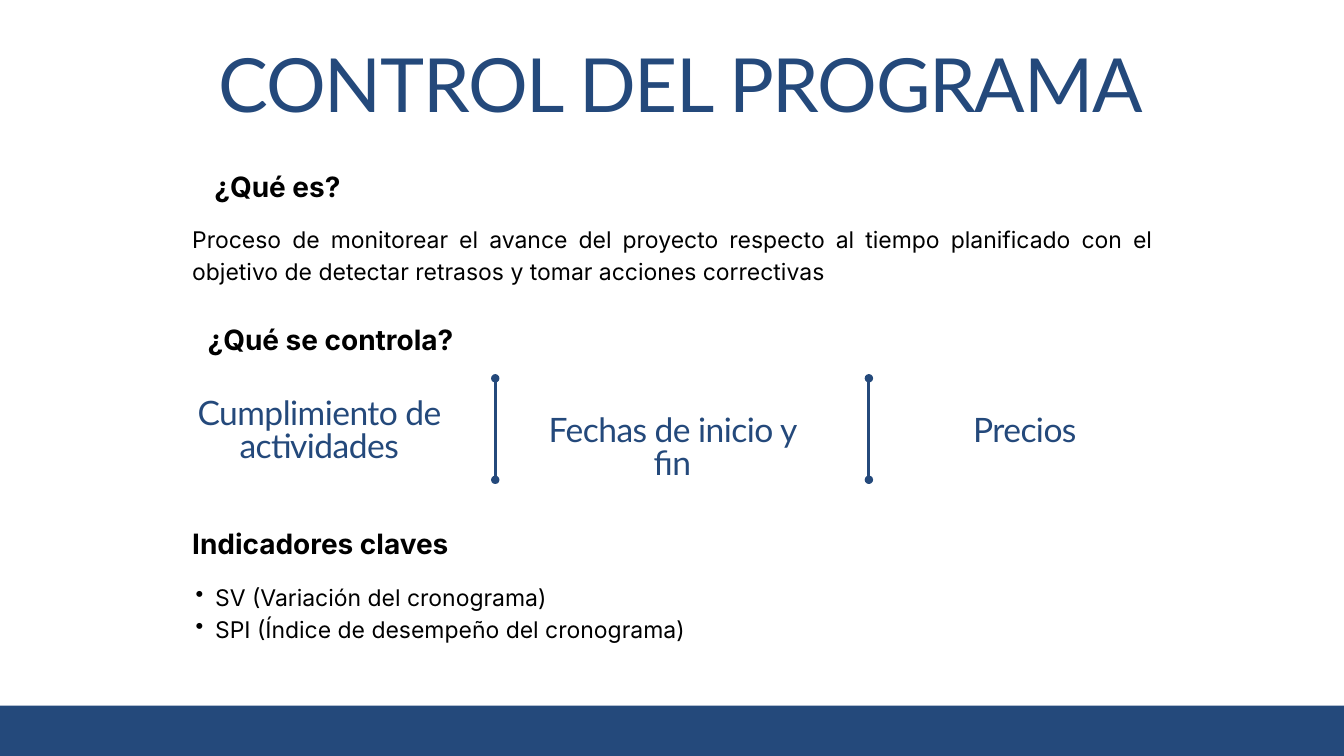
from lxml.etree import SubElement
from pptx import Presentation
from pptx.dml.color import RGBColor
from pptx.enum.shapes import MSO_CONNECTOR, MSO_SHAPE
from pptx.enum.text import MSO_ANCHOR, MSO_AUTO_SIZE, PP_ALIGN
from pptx.oxml.ns import qn
from pptx.util import Inches, Pt

WIDTH, HEIGHT = 20, 11.25
COLS, ROWS = 100, 75
BLUE, BLACK = "24497B", "000000"
LEFT = 14.3

STYLES = {
    "title": dict(font=dict(name="Lato", size=Pt(80)), color=BLUE, leading=80, spacing=-140),
    "item": dict(font=dict(name="Lato", size=Pt(36)), color=BLUE, leading=36, spacing=-60),
    "heading": dict(font=dict(name="Inter", size=Pt(30), bold=True), color=BLACK, leading=42),
    "body": dict(font=dict(name="Inter", size=Pt(24.6)), color=BLACK, leading=34.4),
}
FRAME = dict(margin_left=0, margin_top=0, margin_right=0, margin_bottom=0, word_wrap=True,
             vertical_anchor=MSO_ANCHOR.TOP, auto_size=MSO_AUTO_SIZE.SHAPE_TO_FIT_TEXT)


def rgb(value):
    return RGBColor.from_string(value)


def apply(target, values):
    for name, value in values.items():
        setattr(target, name, value)


def col(n):
    return Inches(WIDTH * n / COLS)


def row(n):
    return Inches(HEIGHT * n / ROWS)


class Deck:
    def __init__(self):
        self.prs = Presentation()
        apply(self.prs, dict(slide_width=Inches(WIDTH), slide_height=Inches(HEIGHT)))
        self.slide = self.prs.slides.add_slide(self.prs.slide_layouts[5])

    def fill_text(self, sp, lines, style, align, bullet=False):
        look = STYLES[style]
        tf = sp.text_frame
        apply(tf, FRAME)
        for i, line in enumerate(lines):
            p = tf.add_paragraph() if i else tf.paragraphs[0]
            if bullet:
                pPr = p._p.get_or_add_pPr()
                pPr.set("marL", str(Inches(0.58)))
                pPr.set("indent", str(Inches(-0.29)))
                SubElement(pPr, qn("a:buChar")).set("char", "•")
                p.level = 1
            apply(p, dict(alignment=align, line_spacing=Pt(look["leading"]), space_before=Pt(0)))
            r = p.add_run()
            r.text = line
            apply(r.font, look["font"])
            r.font.color.rgb = rgb(look["color"])
            if "spacing" in look:
                r._r.get_or_add_rPr().set("spc", str(look["spacing"]))

    def title(self, text, x, y, w, h):
        sp = self.slide.shapes.title
        apply(sp, dict(left=col(x), top=row(y), width=col(w), height=row(h)))
        self.fill_text(sp, [text], "title", PP_ALIGN.CENTER)

    def text(self, lines, x, y, w, h, style, align=PP_ALIGN.LEFT, bullet=False):
        sp = self.slide.shapes.add_textbox(col(x), row(y), col(w), row(h))
        self.fill_text(sp, lines, style, align, bullet)

    def band(self, y, h):
        sp = self.slide.shapes.add_shape(MSO_SHAPE.RECTANGLE, 0, row(y), col(COLS), row(h))
        sp.shadow.inherit = False
        sp.fill.solid()
        sp.fill.fore_color.rgb = rgb(BLUE)
        sp.line.fill.background()

    def divider(self, x, bottom, top):
        sp = self.slide.shapes.add_connector(
            MSO_CONNECTOR.STRAIGHT, col(x), row(bottom), col(x), row(top))
        sp.line.color.rgb = rgb(BLUE)
        sp.line.width = Pt(3)
        ln = sp.line._get_or_add_ln()
        for end in ("a:headEnd", "a:tailEnd"):
            SubElement(ln, qn(end)).set("type", "oval")
        SubElement(sp._element.spPr, qn("a:effectLst"))


def main():
    deck = Deck()
    deck.band(70, 5)
    deck.title("CONTROL DEL PROGRAMA", LEFT, 5.2, 72.7, 7.73)

    for text, x, y, w, align in (
        ("¿Qué es?", 15.45, 16.27, 10.4, PP_ALIGN.CENTER),
        ("¿Qué se controla?", 15.45, 31.4, 18.9, PP_ALIGN.LEFT),
        ("Indicadores claves", LEFT, 51.67, 20.1, PP_ALIGN.LEFT),
    ):
        deck.text([text], x, y, w, 3.8, "heading", align)

    deck.text(["Proceso de monitorear el avance del proyecto respecto al tiempo planificado "
               "con el objetivo de detectar retrasos y tomar acciones correctivas"],
              LEFT, 21.93, 71.45, 6.2, "body", PP_ALIGN.JUSTIFY)

    for text, x, y, w, h in (
        ("Cumplimiento de actividades", LEFT, 39.53, 18.9, 6.8),
        ("Fechas de inicio y fin", 39.45, 41.2, 21.15, 3.47),
        ("Precios", 66.8, 41.2, 18.9, 3.47),
    ):
        deck.text([text], x, y, w, h, "item", PP_ALIGN.CENTER)
    for x in (36.85, 64.65):
        deck.divider(x, 47.6, 37.53)

    deck.text(["SV (Variación del cronograma)", "SPI (Índice de desempeño del cronograma)"],
              13.1, 57.4, 71.45, 6.2, "body", bullet=True)
    deck.prs.save("out.pptx")


if __name__ == "__main__":
    main()
